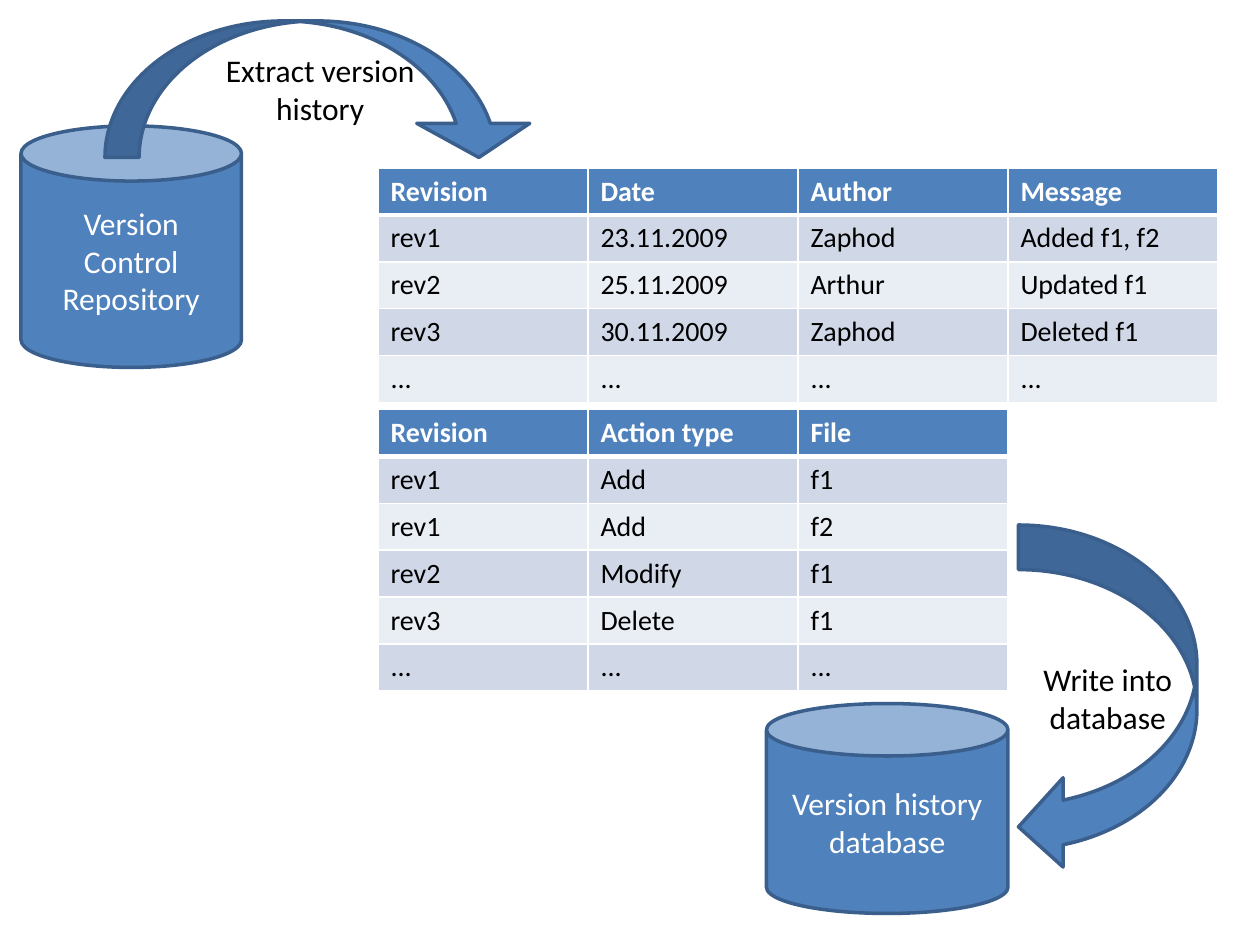
from dataclasses import dataclass

from lxml import etree
from pptx import Presentation, util as u
from pptx.dml.color import RGBColor
from pptx.enum import shapes, text
from pptx.oxml.ns import qn


@dataclass(frozen=True)
class Theme:
    font: str = "Calibri"
    blue: str = "4F81BD"
    outline: str = "3A5F8C"
    white: str = "FFFFFF"
    black: str = "000000"
    bands: tuple = ("D0D8E8", "E9EDF4")
    shape_size: int = 18
    table_size: int = 16
    outline_width: int = 2
    border_width: int = 1
    header_rule: int = 3


THEME = Theme()
WIDTH, HEIGHT = u.Inches(10), u.Inches(7.5)
GRID_COLUMNS, GRID_ROWS = 120, 90
TABLE_COLUMN = 20   # grid columns per table column
TABLE_ROW = 4.45    # grid rows per table row

REVISIONS = [
    ["Revision", "Date", "Author", "Message"],
    ["rev1", "23.11.2009", "Zaphod", "Added f1, f2"],
    ["rev2", "25.11.2009", "Arthur", "Updated f1"],
    ["rev3", "30.11.2009", "Zaphod", "Deleted f1"],
    ["..."] * 4,
]
ACTIONS = [
    ["Revision", "Action type", "File"],
    ["rev1", "Add", "f1"],
    ["rev1", "Add", "f2"],
    ["rev2", "Modify", "f1"],
    ["rev3", "Delete", "f1"],
    ["..."] * 3,
]


def across(columns):
    return round(WIDTH * columns / GRID_COLUMNS)


def down(rows):
    return round(HEIGHT * rows / GRID_ROWS)


def style_font(paragraph, size, color, bold=False):
    font = paragraph.font
    font.name, font.size, font.bold = THEME.font, u.Pt(size), bold
    font.color.rgb = RGBColor.from_string(color)


def add_block(slide, kind, box, label, color, adjustments=()):
    """Blue preset shape with a centred label; box is in grid units."""
    left, top, width, height = box
    shape = slide.shapes.add_shape(
        kind, across(left), down(top), across(width), down(height))
    shape.shadow.inherit = False
    for index, value in enumerate(adjustments):
        shape.adjustments[index] = value
    shape.fill.solid()
    shape.fill.fore_color.rgb = RGBColor.from_string(THEME.blue)
    shape.line.color.rgb = RGBColor.from_string(THEME.outline)
    shape.line.width = u.Pt(THEME.outline_width)

    frame = shape.text_frame
    frame.word_wrap = True
    frame.vertical_anchor = text.MSO_ANCHOR.MIDDLE
    frame.text = label
    for paragraph in frame.paragraphs:
        paragraph.alignment = text.PP_ALIGN.CENTER
        style_font(paragraph, THEME.shape_size, color)


def set_borders(cell, top, bottom):
    """White borders; top and bottom widths in points."""
    properties = cell._tc.get_or_add_tcPr()
    widths = {"lnL": THEME.border_width, "lnR": THEME.border_width,
              "lnT": top, "lnB": bottom}
    for tag, width in widths.items():
        line = etree.SubElement(properties, qn(f"a:{tag}"), w=str(u.Pt(width)))
        fill = etree.SubElement(line, qn("a:solidFill"))
        etree.SubElement(fill, qn("a:srgbClr"), val=THEME.white)


def add_banded_table(slide, left, top, rows):
    columns = len(rows[0])
    table = slide.shapes.add_table(
        len(rows), columns, across(left), down(top),
        across(TABLE_COLUMN * columns), down(TABLE_ROW * len(rows))).table
    for r, row in enumerate(rows):
        header = r == 0
        background = THEME.blue if header else THEME.bands[(r - 1) % 2]
        for c, value in enumerate(row):
            cell = table.cell(r, c)
            set_borders(cell,
                        THEME.header_rule if r == 1 else THEME.border_width,
                        THEME.header_rule if header else THEME.border_width)
            cell.fill.solid()
            cell.fill.fore_color.rgb = RGBColor.from_string(background)
            cell.text = value
            style_font(cell.text_frame.paragraphs[0], THEME.table_size,
                       THEME.white if header else THEME.black, header)


def main():
    presentation = Presentation()
    presentation.slide_width, presentation.slide_height = WIDTH, HEIGHT
    slide = presentation.slides.add_slide(presentation.slide_layouts[6])
    kinds = shapes.MSO_SHAPE

    # Source repository and extraction step
    add_block(slide, kinds.CAN, (2, 12, 21, 23),
              "Version Control Repository", THEME.white)
    add_block(slide, kinds.CURVED_DOWN_ARROW, (10, 2, 41, 13),
              "Extract version\nhistory", THEME.black, (0.25, 0.828, 0.25))

    # Extracted history
    add_banded_table(slide, 36, 16, REVISIONS)
    add_banded_table(slide, 36, 39, ACTIONS)

    # Storage step and target database
    add_block(slide, kinds.CURVED_LEFT_ARROW, (97, 50, 17, 33),
              "Write into database", THEME.black)
    add_block(slide, kinds.CAN, (73, 67, 23, 20),
              "Version history database", THEME.white)

    presentation.save("out.pptx")


if __name__ == "__main__":
    main()
